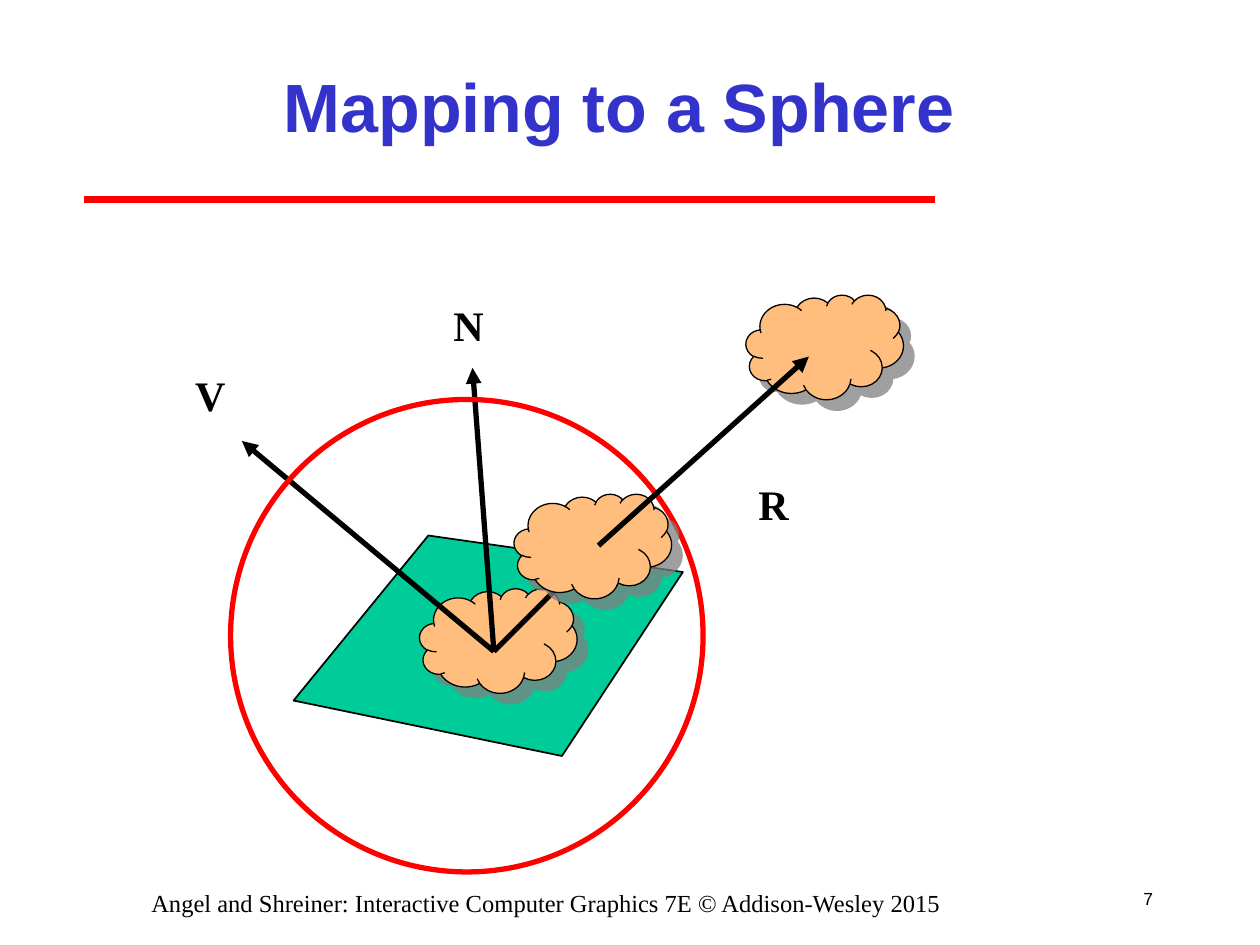
from lxml import etree
from pptx import Presentation
from pptx.dml.color import RGBColor
from pptx.enum.shapes import MSO_CONNECTOR, MSO_SHAPE
from pptx.enum.text import MSO_ANCHOR, PP_ALIGN
from pptx.oxml.ns import qn
from pptx.util import Inches, Pt

THEME = {
    "ink": RGBColor.from_string("000000"),
    "title": RGBColor.from_string("3333CC"),
    "red": RGBColor.from_string("FF0000"),
    "plane": RGBColor.from_string("00CC99"),
    "cloud": RGBColor.from_string("FFBE7D"),
    "shadow": "808080",
    "sans": "Arial",
    "serif": "Times New Roman",
    "title_size": 39, "label_size": 24, "footer_size": 14, "number_size": 10,
}

TITLE = ("Mapping to a Sphere", (1.5, 0.25, 6.83, 1.17))
NUMBER = ("7", (8.83, 6.92, 0.42, 0.42))
FOOTER = ("Angel and Shreiner: Interactive Computer Graphics 7E © Addison-Wesley 2015",
          (0.5, 7, 7.67, 0.25))
LABELS = [("V", 1.45, 2.88), ("N", 3.5, 2.33), ("R", 5.92, 3.75)]
LABEL_SIZE = (0.44, 0.5)

TITLE_RULE = ((0.67, 1.58), (7.42, 1.58))
PLANE = [(2.33, 5.56), (3.4, 4.25), (5.42, 4.54), (4.46, 6)]
SPHERE = (1.83, 3.17, 3.75, 3.75)
CLOUD_SIZE = (1.25, 0.83)
OBJECT_CLOUD, FAR_CLOUD, SPHERE_CLOUD = (3.33, 4.67), (5.92, 2.34), (4.08, 3.92)
ORIGIN = (3.92, 5.17)
VECTOR_TIPS = [(1.92, 3.5), (3.75, 2.92), (4.67, 4.42)]
REFLECTED_RAY = ((4.75, 4.33), (6.42, 2.83))


def inches(values):
    return [Inches(value) for value in values]


def add_text(page, text, at, font, align=PP_ALIGN.LEFT, anchor=MSO_ANCHOR.TOP, wrap=True):
    box = page.shapes.add_textbox(*inches(at))
    frame = box.text_frame
    frame.word_wrap = wrap
    frame.vertical_anchor = anchor
    para = frame.paragraphs[0]
    para.alignment = align
    span = para.add_run()
    span.text = text
    span.font.color.rgb = font["color"]
    for name in ("name", "size", "bold"):
        setattr(span.font, name, font[name])


def font(name, size, color="ink", bold=False):
    return {"name": THEME[name], "size": Pt(THEME[size]), "color": THEME[color], "bold": bold}


def add_line(page, start, end, color, width, arrow=False):
    line = page.shapes.add_connector(MSO_CONNECTOR.STRAIGHT, *inches(start + end))
    line.line.color.rgb = color
    line.line.width = Pt(width)
    if arrow:
        etree.SubElement(line.line._get_or_add_ln(), qn("a:tailEnd"), type="triangle")
    etree.SubElement(line._element.spPr, qn("a:effectLst"))


def paint(shape, fill, line, width):
    shape.shadow.inherit = False
    if fill is None:
        shape.fill.background()
    else:
        shape.fill.solid()
        shape.fill.fore_color.rgb = fill
    shape.line.color.rgb = line
    shape.line.width = Pt(width)


def add_cloud(page, corner):
    """Add a cloud with a sharp, translucent shadow to its lower right."""
    cloud = page.shapes.add_shape(MSO_SHAPE.CLOUD, *inches(corner + CLOUD_SIZE))
    paint(cloud, THEME["cloud"], THEME["ink"], 0.75)
    effects = cloud._element.spPr.find(qn("a:effectLst"))
    shadow = etree.SubElement(effects, qn("a:outerShdw"), blurRad="0", dist=str(Pt(8.5)),
                              dir=str(45 * 60000), algn="ctr", rotWithShape="0")
    color = etree.SubElement(shadow, qn("a:srgbClr"), val=THEME["shadow"])
    etree.SubElement(color, qn("a:alpha"), val="75000")


def add_plane(page):
    builder = page.shapes.build_freeform(*inches(PLANE[0]))
    builder.add_line_segments([inches(point) for point in PLANE[1:]], close=True)
    paint(builder.convert_to_shape(), THEME["plane"], THEME["ink"], 1)


def main():
    deck = Presentation()
    deck.slide_width, deck.slide_height = Inches(10), Inches(7.5)
    page = deck.slides.add_slide(deck.slide_layouts[6])

    add_line(page, *TITLE_RULE, THEME["red"], 4)
    add_text(page, *NUMBER, font("sans", "number_size"), PP_ALIGN.RIGHT, MSO_ANCHOR.MIDDLE)
    add_plane(page)
    add_cloud(page, OBJECT_CLOUD)
    add_text(page, *TITLE, font("sans", "title_size", "title", True),
             PP_ALIGN.CENTER, MSO_ANCHOR.MIDDLE)
    for tip in VECTOR_TIPS:
        add_line(page, ORIGIN, tip, THEME["ink"], 3, arrow=True)
    for text, left, top in LABELS:
        add_text(page, text, (left, top) + LABEL_SIZE,
                 font("serif", "label_size", bold=True), wrap=False)

    add_cloud(page, FAR_CLOUD)
    sphere = page.shapes.add_shape(MSO_SHAPE.OVAL, *inches(SPHERE))
    paint(sphere, None, THEME["red"], 3)
    add_cloud(page, SPHERE_CLOUD)
    add_line(page, *REFLECTED_RAY, THEME["ink"], 3, arrow=True)
    add_text(page, *FOOTER, font("serif", "footer_size"), PP_ALIGN.CENTER)

    deck.save("out.pptx")


if __name__ == "__main__":
    main()
